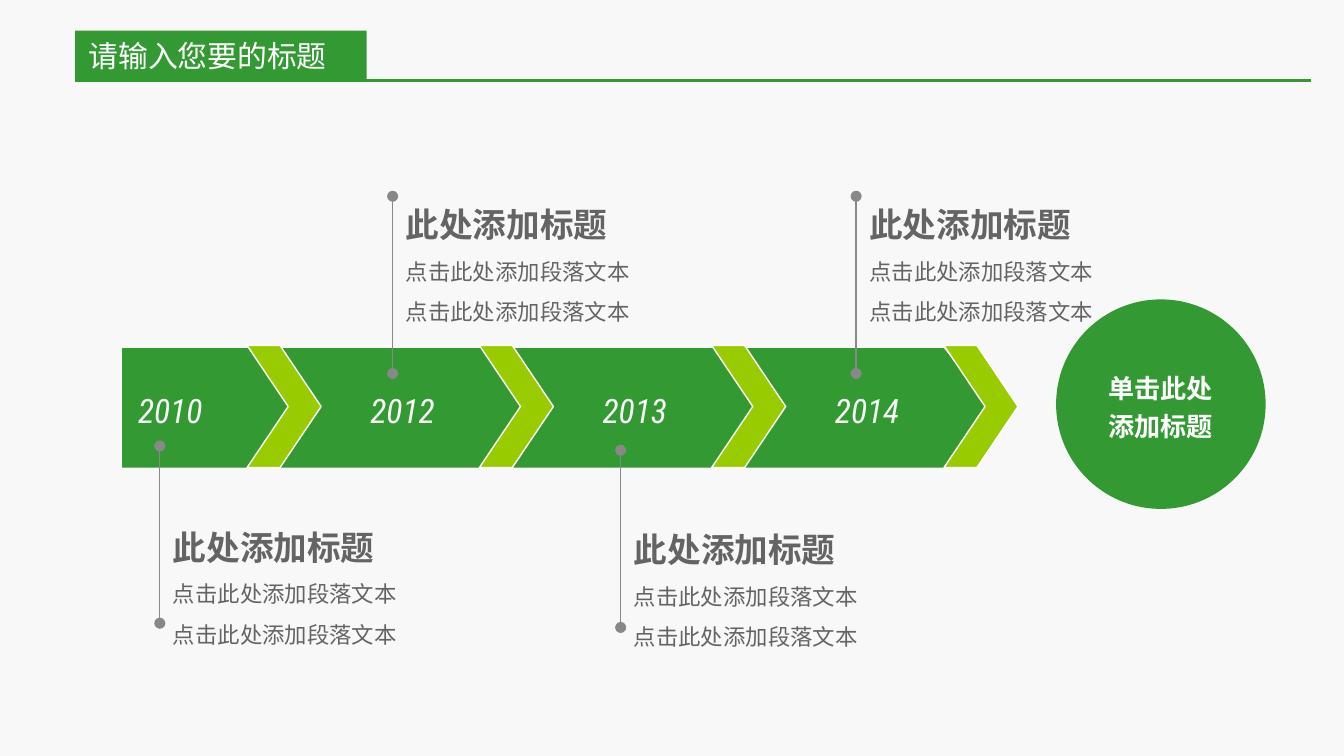
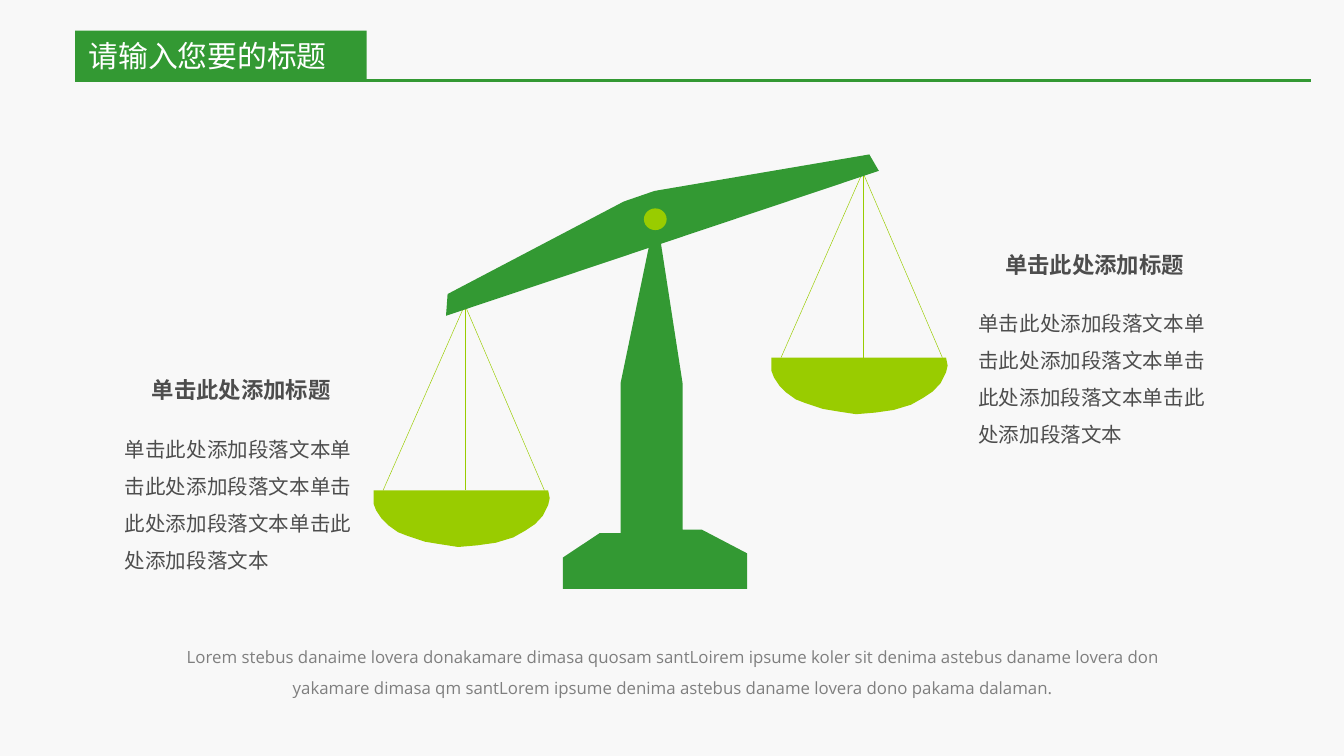
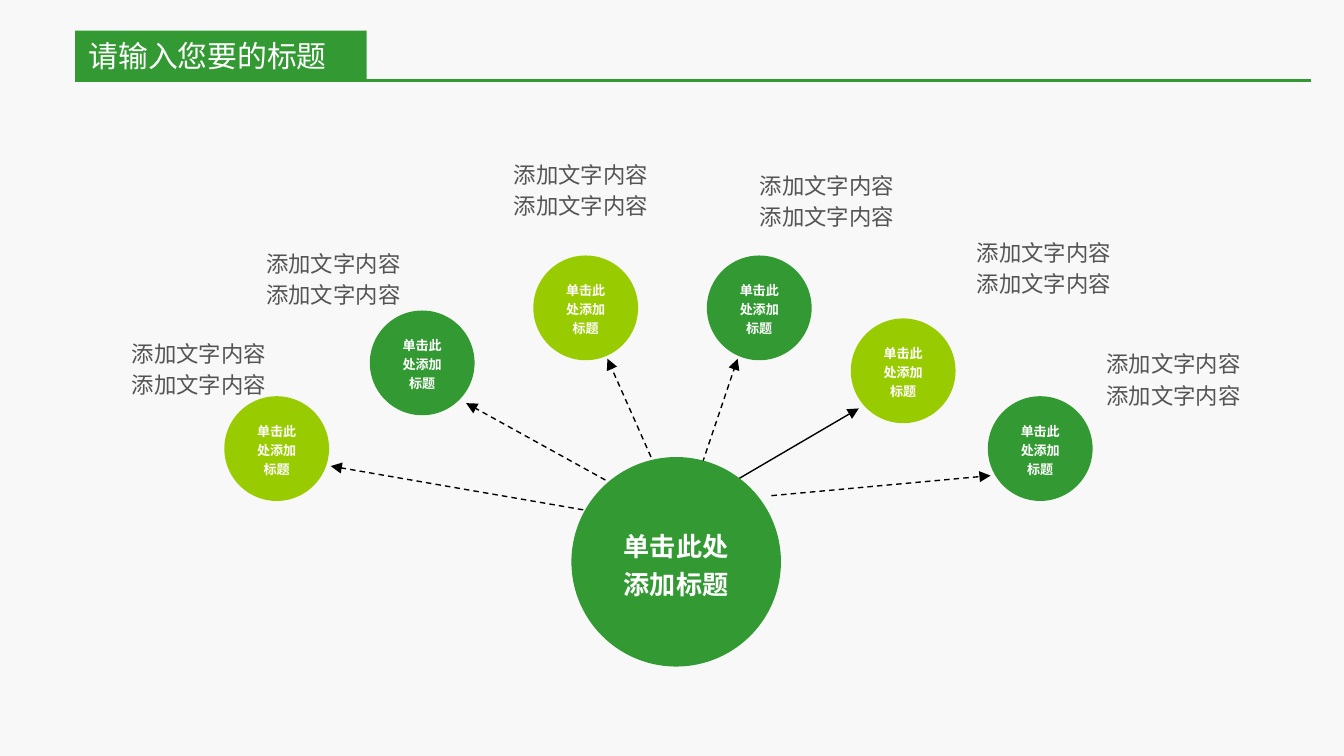
from lxml import etree
from pptx import Presentation
from pptx.dml.color import RGBColor
from pptx.enum.dml import MSO_LINE
from pptx.enum.shapes import MSO_CONNECTOR, MSO_SHAPE
from pptx.enum.text import MSO_ANCHOR, MSO_AUTO_SIZE, PP_ALIGN
from pptx.oxml.ns import qn
from pptx.util import Cm, Pt

STRAIGHT, DASH = MSO_CONNECTOR.STRAIGHT, MSO_LINE.DASH
OVAL, CHEVRON, PENTAGON = MSO_SHAPE.OVAL, MSO_SHAPE.CHEVRON, MSO_SHAPE.PENTAGON
LEFT, CENTER, RIGHT = PP_ALIGN.LEFT, PP_ALIGN.CENTER, PP_ALIGN.RIGHT
MIDDLE, NO_FIT = MSO_ANCHOR.MIDDLE, MSO_AUTO_SIZE.NONE

# Shared look
GREEN, LIME, WHITE, PAPER = "339933", "99CC00", "FFFFFF", "F8F8F8"
GREY, BLACK = "888888", "000000"
CJK = "Noto Sans CJK SC"
HUB_SIZE = Cm(3.96)
HUB_TEXT = "单击此处添加标题"


def style(shape, fill=None, text="", size=12, colour=WHITE, font=CJK,
          bold=False, align=LEFT, spacing=None, wrap=True):
    """Fill a shape without outline or shadow, and set its text."""
    if fill:
        shape.shadow.inherit = False
        shape.fill.solid()
        shape.fill.fore_color.rgb = RGBColor.from_string(fill)
        shape.line.fill.background()
    if not text:
        return
    shape.text_frame.text = text
    shape.text_frame.word_wrap = wrap
    for paragraph in shape.text_frame.paragraphs:
        paragraph.alignment = align
        if spacing:
            paragraph.line_spacing = spacing
        for run in paragraph.runs:
            run.font.name = font
            run.font.size = Pt(size)
            run.font.bold = bold
            run.font.color.rgb = RGBColor.from_string(colour)
            east_asian = etree.SubElement(run.font._element, qn("a:ea"))
            east_asian.set("typeface", font)


def add_line(slide, x1, y1, x2, y2, colour, width, dash=None, head=None, tail=None):
    """Draw a straight line, given in centimetres, with optional ends."""
    line = slide.shapes.add_connector(STRAIGHT, Cm(x1), Cm(y1), Cm(x2), Cm(y2))
    line.line.color.rgb = RGBColor.from_string(colour)
    line.line.width = Pt(width)
    if dash:
        line.line.dash_style = dash
    properties = line._element.spPr
    for tag, end in (("a:headEnd", head), ("a:tailEnd", tail)):
        if end:
            etree.SubElement(properties.find(qn("a:ln")), qn(tag)).set("type", end)
    etree.SubElement(properties, qn("a:effectLst"))


prs = Presentation()
prs.slide_width, prs.slide_height = Cm(25.4), Cm(14.29)
background = prs.slide_master.background.fill
background.solid()
background.fore_color.rgb = RGBColor.from_string(PAPER)

# Title band and rule on every slide
slides = [prs.slides.add_slide(prs.slide_layouts[5]) for _ in range(3)]
for slide in slides:
    title = slide.shapes.title
    title.left, title.top, title.width, title.height = Cm(1.42), Cm(0.58), Cm(5.51), Cm(0.94)
    style(title, GREEN, "请输入您要的标题", 16)
    title.text_frame.vertical_anchor = MIDDLE
    title.text_frame.auto_size = NO_FIT
    add_line(slide, 24.77, 1.52, 1.42, 1.52, GREEN, 1.5)
timeline, scales, network = slides

# Slide 1: arrow bar with years
YEAR_STEP = 4.39
bar = timeline.shapes.add_shape(PENTAGON, Cm(2.31), Cm(6.58), Cm(16.43), Cm(2.26))
bar.adjustments[0] = 0.4
style(bar, GREEN)
for i, year in enumerate(("2010", "2012", "2013", "2014")):
    divider = timeline.shapes.add_shape(
        CHEVRON, Cm(4.67 + i * YEAR_STEP), Cm(6.53), Cm(1.4), Cm(2.31))
    divider.adjustments[0] = 0.555
    style(divider, LIME)
    divider.line.color.rgb = RGBColor.from_string(WHITE)
    divider.line.width = Pt(0.75)
    year_label = timeline.shapes.add_textbox(
        Cm(2.36 + i * YEAR_STEP), Cm(7.24), Cm(1.75), Cm(1.02))
    style(year_label, text=year, size=18, colour=PAPER, font="Roboto Condensed", wrap=False)
    year_label.text_frame.paragraphs[0].runs[0].font.italic = True

# Callouts: x, top of the pin, top of the text, width of the text
callouts = [
    (3.02, 8.43, 9.45, 6.73),
    (7.42, 3.71, 3.35, 6.35),
    (11.73, 8.51, 9.5, 5.87),
    (16.18, 3.71, 3.35, 6.05),
]
for x, pin_top, text_top, width in callouts:
    add_line(timeline, x, pin_top, x, pin_top + 3.35, GREY, 0.75, head="oval", tail="oval")
    callout = timeline.shapes.add_textbox(Cm(x), Cm(text_top), Cm(width), Cm(2.92))
    style(callout, text="此处添加标题\n点击此处添加段落文本\n点击此处添加段落文本",
          colour="646464", font="DejaVu Sans", spacing=1.5)
    heading = callout.text_frame.paragraphs[0].runs[0].font
    heading.size = Pt(18)
    heading.bold = True

goal = timeline.shapes.add_shape(OVAL, Cm(19.96), Cm(5.66), HUB_SIZE, HUB_SIZE)
style(goal, GREEN, HUB_TEXT, 14, bold=True, align=CENTER, spacing=1.2)

# Slide 2: column, beam and pans of the scales
column = [(12.4, 4.01), (12.9, 7.24), (12.9, 10.01), (13.26, 10.01), (14.12, 10.46),
          (14.12, 11.13), (10.64, 11.13), (10.64, 10.54), (11.33, 10.08),
          (11.73, 10.08), (11.73, 7.24)]
beam = [(8.43, 5.97), (16.61, 3.23), (16.43, 2.92), (12.37, 3.61), (11.79, 3.81),
        (8.46, 5.56)]
pan = [(0, 0), (0, 0.25), (0.05, 0.38), (0.15, 0.53), (0.28, 0.66), (0.46, 0.79),
       (0.64, 0.86), (0.97, 0.97), (1.27, 1.02), (1.6, 1.07), (1.96, 1.04),
       (2.31, 0.99), (2.64, 0.89), (2.87, 0.76), (3.05, 0.64), (3.2, 0.48),
       (3.3, 0.28), (3.33, 0.15), (3.3, 0)]
pan_places = [(14.58, 6.76), (7.06, 9.27)]
wires = [(1.75, 3.23), (1.73, 1.73), (1.7, 0.18)]

for x, y in pan_places:
    for hook, rim in wires:
        add_line(scales, x + hook, y - 3.45, x + rim, y, LIME, 0.25)
outlines = [(column, 0, 0, GREEN), (beam, 0, 0, GREEN)]
outlines += [(pan, x, y, LIME) for x, y in pan_places]
for outline, x, y, fill in outlines:
    points = [(Cm(x + dx), Cm(y + dy)) for dx, dy in outline]
    builder = scales.shapes.build_freeform(*points[0])
    builder.add_line_segments(points[1:], close=True)
    style(builder.convert_to_shape(), fill)
pivot = scales.shapes.add_shape(OVAL, Cm(12.17), Cm(3.94), Cm(0.43), Cm(0.41))
style(pivot, LIME)

# Text beside the pans and below the scales
for x, y in ((2.11, 6.99), (18.24, 4.62)):
    side_heading = scales.shapes.add_textbox(Cm(x), Cm(y), Cm(4.9), Cm(0.76))
    style(side_heading, text="单击此处添加标题", colour="4D4D4D", bold=True, align=CENTER)
    side_text = scales.shapes.add_textbox(Cm(x), Cm(y + 0.91), Cm(4.9), Cm(3.05))
    style(side_text, text="单击此处添加段落文本" * 4, size=11, colour="4D4D4D", spacing=1.5)

summary = scales.shapes.add_textbox(Cm(3.18), Cm(11.94), Cm(19.05), Cm(1.35))
style(summary, text="Lorem stebus danaime lovera donakamare dimasa quosam santLoirem ipsume "
      "koler sit denima astebus daname lovera don yakamare dimasa qm santLorem ipsume "
      "denima astebus daname lovera dono pakama dalaman.",
      size=9, colour="7F7F7F", font="Open Sans", align=CENTER, spacing=1.5)
frame = summary.text_frame
frame.margin_left = frame.margin_right = Cm(0.18)
frame.margin_top = frame.margin_bottom = Cm(0.1)

# Slide 3: arrows from the hub
arrows = [
    (13.16, 9.09, 13.94, 6.78, DASH),
    (12.45, 8.97, 11.48, 6.78, DASH),
    (11.76, 9.25, 8.81, 7.62, DASH),
    (11.56, 9.73, 6.25, 8.81, DASH),
    (13.89, 9.09, 16.23, 7.72, None),
    (14.58, 9.37, 18.72, 8.99, DASH),
]
for x1, y1, x2, y2, dash in arrows:
    add_line(network, x1, y1, x2, y2, BLACK, 0.75, dash, tail="triangle")

hub = network.shapes.add_shape(OVAL, Cm(10.8), Cm(8.64), HUB_SIZE, HUB_SIZE)
style(hub, GREEN, HUB_TEXT, 14, bold=True, align=CENTER, spacing=1.2)

# Satellites: circle x and y, caption x, y, width and alignment
satellites = [
    (4.24, 7.49, 1.47, 6.3, 3.81, RIGHT),
    (6.99, 5.87, 4.01, 4.6, 3.81, RIGHT),
    (10.08, 4.83, 8.69, 2.92, 3.81, RIGHT),
    (13.36, 4.83, 13.34, 3.12, 3.81, RIGHT),
    (16.08, 6.02, 18.21, 4.39, 5.51, LEFT),
    (18.67, 7.49, 19.89, 6.5, 3.81, RIGHT),
]
for i, (x, y, caption_x, caption_y, width, align) in enumerate(satellites):
    satellite = network.shapes.add_shape(OVAL, Cm(x), Cm(y), Cm(1.98), Cm(1.98))
    style(satellite, (LIME, GREEN)[i % 2], HUB_TEXT, 7, bold=True, align=CENTER, spacing=1.2)
    caption = network.shapes.add_textbox(Cm(caption_x), Cm(caption_y), Cm(width), Cm(1.37))
    style(caption, text="添加文字内容\n添加文字内容", colour="545454", align=align)
    caption.text_frame.paragraphs[1].space_before = Pt(2.4)

prs.save("out.pptx")
